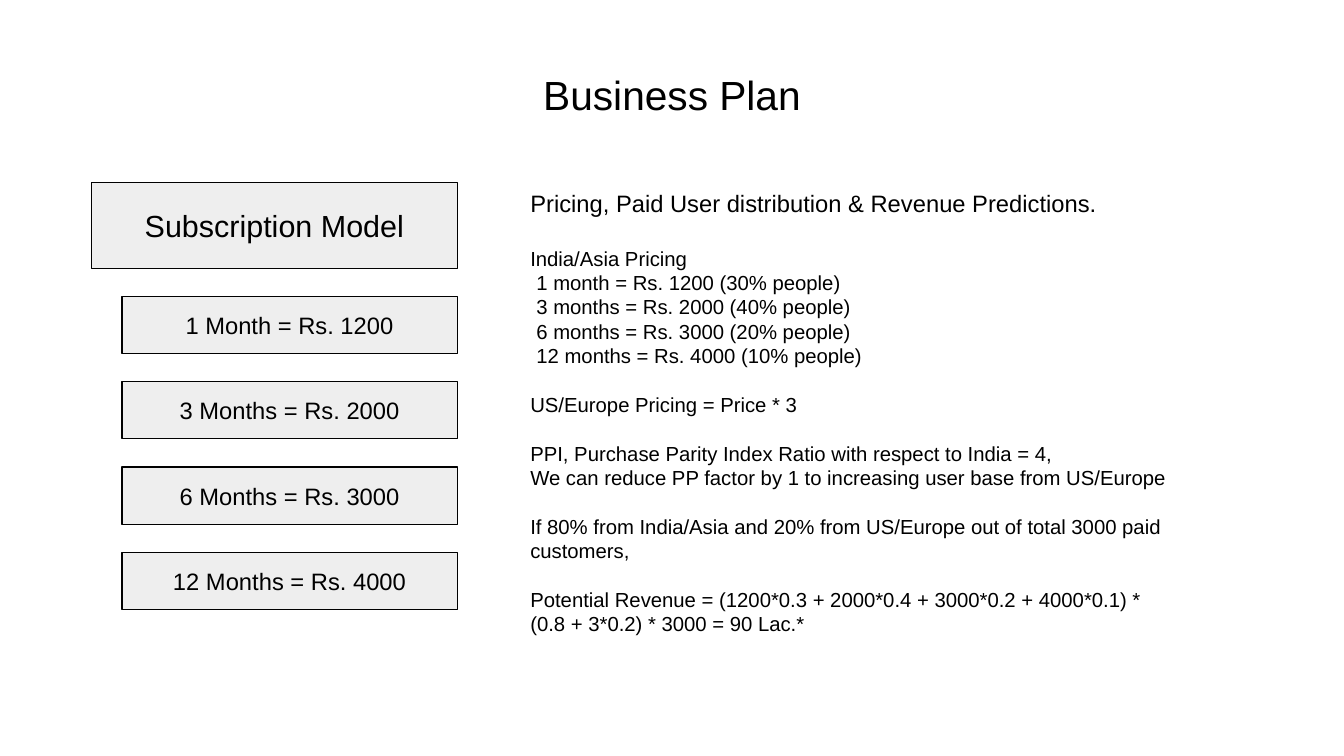
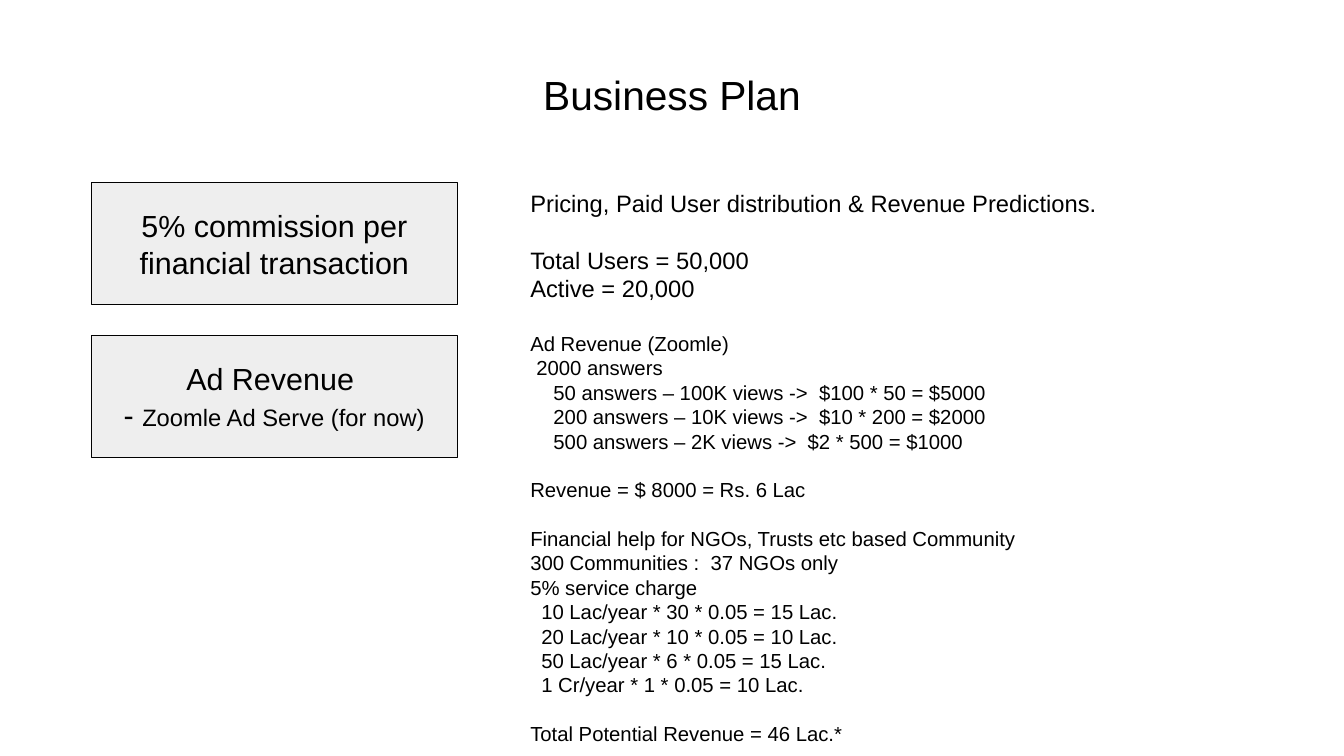
from pptx import Presentation
from pptx import util as u
from pptx.dml.color import RGBColor
from pptx.enum import shapes, text

PX = 9144  # 100 px to the inch
FONT, INK, PANEL = "Arial", "000000", "EEEEEE"
TITLE, HEAD, LEAD, BODY = 24, 18, 14, 12
LEADING = 1.2
LEFT, TOP, BOX_W = 75, 150, 300
CENTER, START = text.PP_ALIGN.CENTER, text.PP_ALIGN.LEFT


def color(value):
    return RGBColor.from_string(value)


def px(*lengths):
    return [n * PX for n in lengths]


def set_frame(sp, anchor, insets=(10, 5)):
    tf = sp.text_frame
    tf.word_wrap = True
    tf.vertical_anchor = anchor
    tf.margin_left = tf.margin_right = insets[0] * PX
    tf.margin_top = tf.margin_bottom = insets[1] * PX
    return tf


def add_line(tf, line, size, align=START, gap=0, indent=0):
    """Add a paragraph; gap is the size of the empty line before it."""
    first = not tf.paragraphs[0].runs
    p = tf.paragraphs[0] if first else tf.add_paragraph()
    p.alignment = align
    p.line_spacing = u.Pt(LEADING * size)
    p.space_before = u.Pt(LEADING * gap)
    if indent:
        p._p.get_or_add_pPr().set("marL", str(indent * PX))
    p.font.name, p.font.size = FONT, u.Pt(size)
    p.font.color.rgb = color(INK)
    p.add_run().text = line
    return p


def add_title(s, title):
    sp = s.shapes.add_textbox(*px(55, 25, 992, 104))
    tf = set_frame(sp, text.MSO_ANCHOR.MIDDLE, (0, 0))
    add_line(tf, title, TITLE, CENTER)


def add_box(s, x, y, w, h, line, size):
    sp = s.shapes.add_shape(shapes.MSO_SHAPE.RECTANGLE, *px(x, y, w, h))
    sp.shadow.inherit = False
    sp.fill.solid()
    sp.fill.fore_color.rgb = color(PANEL)
    sp.line.color.rgb = color(INK)
    sp.line.width = 0
    tf = set_frame(sp, text.MSO_ANCHOR.MIDDLE)
    add_line(tf, line, size, CENTER)
    return tf


def add_notes_column(s, height, blocks):
    """Each block is (empty line before, size, lines); a line may be (text, indent)."""
    sp = s.shapes.add_textbox(*px(425, TOP, 550, height))
    tf = set_frame(sp, text.MSO_ANCHOR.TOP)
    for gap, size, lines in blocks:
        for i, line in enumerate(lines):
            words, indent = line if isinstance(line, tuple) else (line, 0)
            add_line(tf, words, size, gap=0 if i else gap, indent=indent)


def add_plan_slide(prs):
    s = prs.slides.add_slide(prs.slide_layouts[6])
    add_title(s, "Business Plan")
    return s


INTRO = (0, LEAD, ["Pricing, Paid User distribution & Revenue Predictions."])


def subscription_slide(prs):
    s = add_plan_slide(prs)
    add_box(s, LEFT, TOP, BOX_W, 70, "Subscription Model", HEAD)
    plans = ["1 Month = Rs. 1200", "3 Months = Rs. 2000",
             "6 Months = Rs. 3000", "12 Months = Rs. 4000"]
    for i, plan in enumerate(plans):
        add_box(s, LEFT + 25, 243 + 70 * i, BOX_W - 25, 47, plan, LEAD)
    add_notes_column(s, 359, [
        INTRO,
        (LEAD, BODY, ["India/Asia Pricing",
                      ("1 month = Rs. 1200 (30% people)", 5),
                      ("3 months = Rs. 2000 (40% people)", 5),
                      ("6 months = Rs. 3000 (20% people)", 5),
                      ("12 months = Rs. 4000 (10% people)", 5)]),
        (BODY, BODY, ["US/Europe Pricing = Price * 3"]),
        (BODY, BODY, ["PPI, Purchase Parity Index Ratio with respect to India = 4,",
                      "We can reduce PP factor by 1 to increasing user base from US/Europe"]),
        (BODY, BODY, ["If 80% from India/Asia and 20% from US/Europe out of total "
                      "3000 paid customers,"]),
        (BODY, BODY, ["Potential Revenue = (1200*0.3 + 2000*0.4 + 3000*0.2 + 4000*0.1) * "
                      "(0.8 + 3*0.2) * 3000 = 90 Lac.*"]),
    ])


def commission_slide(prs):
    s = add_plan_slide(prs)
    add_box(s, LEFT, TOP, BOX_W, 100, "5% commission per financial transaction", HEAD)
    add_notes_column(s, 436, [
        INTRO,
        (LEAD, LEAD, ["Total Users = 50,000", "Active = 20,000"]),
        (LEAD, BODY, ["Ad Revenue (Zoomle)",
                      ("2000 answers", 5),
                      ("50 answers – 100K views ->  $100 * 50 = $5000", 19),
                      ("200 answers – 10K views ->  $10 * 200 = $2000", 19),
                      ("500 answers – 2K views ->  $2 * 500 = $1000", 19)]),
        (BODY, BODY, ["Revenue = $ 8000 = Rs. 6 Lac"]),
        (BODY, BODY, ["Financial help for NGOs, Trusts etc based Community",
                      "300 Communities :  37 NGOs only",
                      "5% service charge",
                      ("10 Lac/year * 30 * 0.05 = 15 Lac.", 9),
                      ("20 Lac/year * 10 * 0.05 = 10 Lac.", 9),
                      ("50 Lac/year * 6 * 0.05 = 15 Lac.", 9),
                      ("1 Cr/year * 1 * 0.05 = 10 Lac.", 9)]),
        (BODY, BODY, ["Total Potential Revenue = 46 Lac.*"]),
    ])
    tf = add_box(s, LEFT, TOP + 125, BOX_W, 100, "Ad Revenue ", HEAD)
    r = add_line(tf, "- ", HEAD, CENTER).add_run()
    r.text = "Zoomle Ad Serve (for now)"
    r.font.size = u.Pt(LEAD)


def main():
    prs = Presentation()
    prs.slide_width, prs.slide_height = px(1102, 620)
    subscription_slide(prs)
    commission_slide(prs)
    prs.save("out.pptx")


if __name__ == "__main__":
    main()
